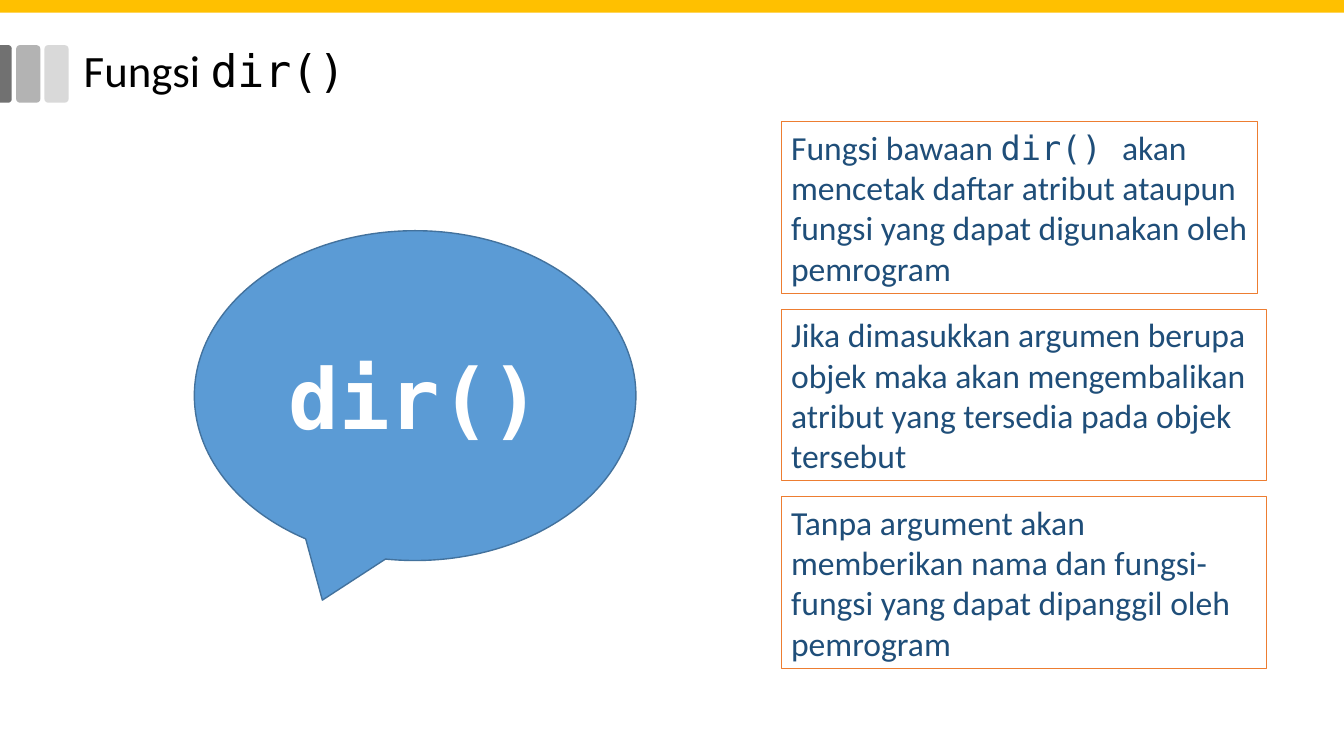
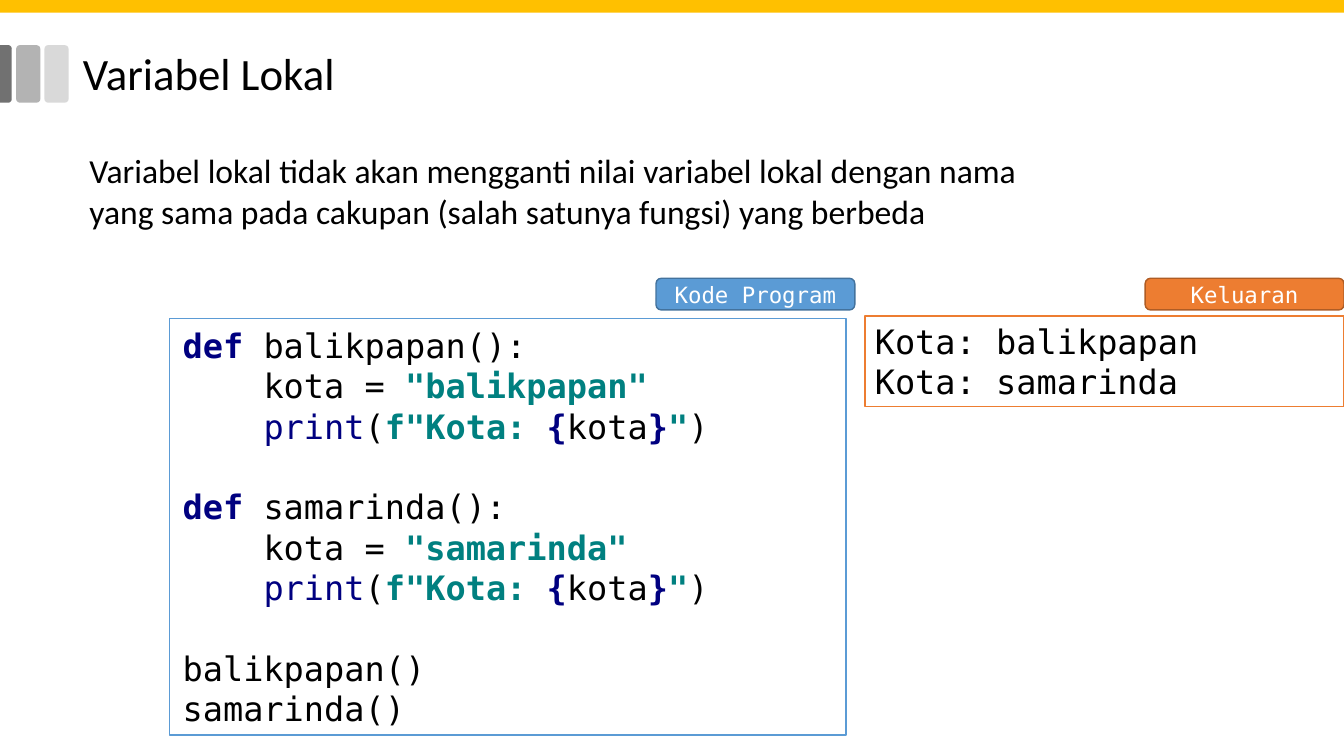
from pptx import Presentation
from pptx.dml.color import RGBColor
from pptx.enum.shapes import MSO_SHAPE
from pptx.enum.text import MSO_ANCHOR, PP_ALIGN
from pptx.util import Pt

BLACK = RGBColor(0x00, 0x00, 0x00)
WHITE = RGBColor(0xFF, 0xFF, 0xFF)
GOLD = RGBColor(0xFF, 0xC0, 0x00)
LIGHT_GRAY = RGBColor(0xD9, 0xD9, 0xD9)
MID_GRAY = RGBColor(0xB3, 0xB3, 0xB3)
DARK_GRAY = RGBColor(0x71, 0x71, 0x71)
BLUE = RGBColor(0x5B, 0x9B, 0xD5)
BLUE_EDGE = RGBColor(0x43, 0x72, 0x9D)
ORANGE = RGBColor(0xED, 0x7D, 0x31)
ORANGE_EDGE = RGBColor(0xAF, 0x5C, 0x24)
DARK_BLUE = RGBColor(0x1F, 0x4E, 0x79)
NAVY = RGBColor(0x00, 0x00, 0x80)
TEAL = RGBColor(0x00, 0x80, 0x80)

SANS, MONO = "Calibri", "DejaVu Sans Mono"
WIDTH, HEIGHT = 960, 540
CODE_LINE = 28.8
CODE_INDENT = 57.8


def span(text, **style):
    """Pair a piece of text with the format that differs from its block."""
    return text, style


def add_run(p, text, font=SANS, size=24, color=BLACK, bold=False):
    r = p.add_run()
    r.text = text
    r.font.name, r.font.size, r.font.bold = font, Pt(size), bold
    r.font.color.rgb = color


class Deck:
    def __init__(self):
        self.prs = Presentation()
        self.prs.slide_width, self.prs.slide_height = Pt(WIDTH), Pt(HEIGHT)
        self.s = None

    def slide(self, title, left, top):
        """Start a slide with the gray bars, the title and the gold band."""
        self.s = self.prs.slides.add_slide(self.prs.slide_layouts[6])
        for x, gray in ((31.7, LIGHT_GRAY), (11.5, MID_GRAY)):
            self.shape(MSO_SHAPE.ROUNDED_RECTANGLE, x, 32.2, 17.4, 41.2, fill=gray)
        edge_bar = self.shape(MSO_SHAPE.ROUND_2_SAME_RECTANGLE, -16.6, 48.4, 41.2, 8.8,
                              fill=DARK_GRAY, adj=(0.29, 0))
        edge_bar.rotation = 90
        tf = self.text(left, top, 828, 52, title, size=32, inset=(9.4, 9.4))
        tf.paragraphs[0].line_spacing = 0.9
        self.shape(MSO_SHAPE.RECTANGLE, 0, -2.4, WIDTH, 11.5, fill=GOLD)

    def shape(self, kind, x, y, w, h, fill=None, line=None, weight=1, adj=()):
        sp = self.s.shapes.add_shape(kind, Pt(x), Pt(y), Pt(w), Pt(h))
        sp.shadow.inherit = False
        for i, value in enumerate(adj):
            sp.adjustments[i] = value
        if fill is None:
            sp.fill.background()
        else:
            sp.fill.solid()
            sp.fill.fore_color.rgb = fill
        if line is None:
            sp.line.fill.background()
        else:
            sp.line.color.rgb = line
            sp.line.width = Pt(weight)
        return sp

    def fill_text(self, sp, paragraphs, align=PP_ALIGN.LEFT, anchor=MSO_ANCHOR.TOP,
                  inset=(7.2, 3.6), **style):
        """Fill a shape with paragraphs, each a list of spans."""
        tf = sp.text_frame
        tf.word_wrap = True
        tf.vertical_anchor = anchor
        tf.margin_left = tf.margin_right = Pt(inset[0])
        tf.margin_top = tf.margin_bottom = Pt(inset[1])
        for i, spans in enumerate(paragraphs):
            p = tf.add_paragraph() if i else tf.paragraphs[0]
            p.alignment = align
            for text, own in spans:
                add_run(p, text, **{**style, **own})
        return tf

    def text(self, x, y, w, h, spans, **style):
        box = self.s.shapes.add_textbox(Pt(x), Pt(y), Pt(w), Pt(h))
        return self.fill_text(box, [spans], **style)

    def frame(self, x, y, w, h, paragraphs, line=ORANGE, weight=1, **style):
        sp = self.shape(MSO_SHAPE.RECTANGLE, x, y, w, h, line=line, weight=weight)
        self.fill_text(sp, paragraphs, **style)

    def label(self, x, text, fill, line):
        sp = self.shape(MSO_SHAPE.ROUNDED_RECTANGLE, x, 198.8, 142, 22.6, fill, line)
        self.fill_text(sp, [[span(text)]], align=PP_ALIGN.CENTER,
                       anchor=MSO_ANCHOR.MIDDLE, font=MONO, size=16, color=WHITE)

    def code(self, x, y, w, h, lines):
        """Draw a listing; each line is (indent level, blank lines before, spans)."""
        sp = self.shape(MSO_SHAPE.RECTANGLE, x, y, w, h, fill=WHITE, line=BLUE)
        tf = self.fill_text(sp, [spans for _, _, spans in lines], font=MONO,
                            anchor=MSO_ANCHOR.MIDDLE, inset=(9.4, 5))
        for p, (level, gap, _) in zip(tf.paragraphs, lines):
            p.space_before = Pt(gap * CODE_LINE)
            p._p.get_or_add_pPr().set("marL", str(Pt(level * CODE_INDENT)))


def city_function(city, gap):
    """Code lines of a function that prints its local city."""
    string = dict(color=TEAL, bold=True)
    keyword = dict(color=NAVY, bold=True)
    return [
        (0, gap, [span("def ", **keyword), span(f"{city}():")]),
        (1, 0, [span("kota = "), span(f'"{city}"', **string)]),
        (1, 0, [span("print", color=NAVY), span("("), span('f"Kota: ', **string),
                span("{", **keyword), span("kota"), span("}", **keyword),
                span('"', **string), span(")")]),
    ]


def dir_slide(deck):
    deck.slide([span("Fungsi "), span("dir()", font=MONO)], 50.4, 25.2)
    notes = [
        (340.6, [span("Fungsi bawaan "), span("dir() ", font=MONO),
                 span("akan mencetak daftar atribut ataupun fungsi yang dapat "
                      "digunakan oleh pemrogram")]),
        (347, [span("Jika dimasukkan argumen berupa objek maka akan mengembalikan "
                    "atribut yang tersedia pada objek tersebut")]),
        (347, [span("Tanpa argument akan memberikan nama dan fungsi-fungsi yang "
                    "dapat dipanggil oleh pemrogram")]),
    ]
    for i, (width, spans) in enumerate(notes):
        deck.frame(558, 87 + 133.9 * i, width, 122.4, [spans], weight=0, color=DARK_BLUE)
    callout = deck.shape(MSO_SHAPE.OVAL_CALLOUT, 138.8, 164.8, 315.4, 235.6,
                         BLUE, BLUE_EDGE, adj=(-0.21, 0.62))
    deck.fill_text(callout, [[span("dir()")]], align=PP_ALIGN.CENTER,
                   anchor=MSO_ANCHOR.MIDDLE, font=MONO, size=60, color=WHITE, bold=True)


def local_variable_slide(deck):
    cities = ("balikpapan", "samarinda")
    deck.slide([span("Variabel Lokal")], 49.8, 27.4)
    deck.text(56.8, 103.8, 705.6, 65, [
        span("Variabel lokal tidak akan mengganti nilai variabel lokal dengan nama "
             "yang sama pada cakupan (salah satunya fungsi) yang berbeda")])
    lines = []
    for i, city in enumerate(cities):
        lines += city_function(city, gap=i)
    for i, city in enumerate(cities):
        lines.append((0, 1 - i, [span(f"{city}()")]))
    deck.code(121, 227.5, 483.4, 297.4, lines)
    deck.frame(617.8, 225.6, 342.2, 64.8, [[span(f"Kota: {city}")] for city in cities],
               font=MONO)
    deck.label(468.6, "Kode Program", BLUE, BLUE_EDGE)
    deck.label(818, "Keluaran", ORANGE, ORANGE_EDGE)


def main():
    deck = Deck()
    dir_slide(deck)
    local_variable_slide(deck)
    deck.prs.save("out.pptx")


if __name__ == "__main__":
    main()
